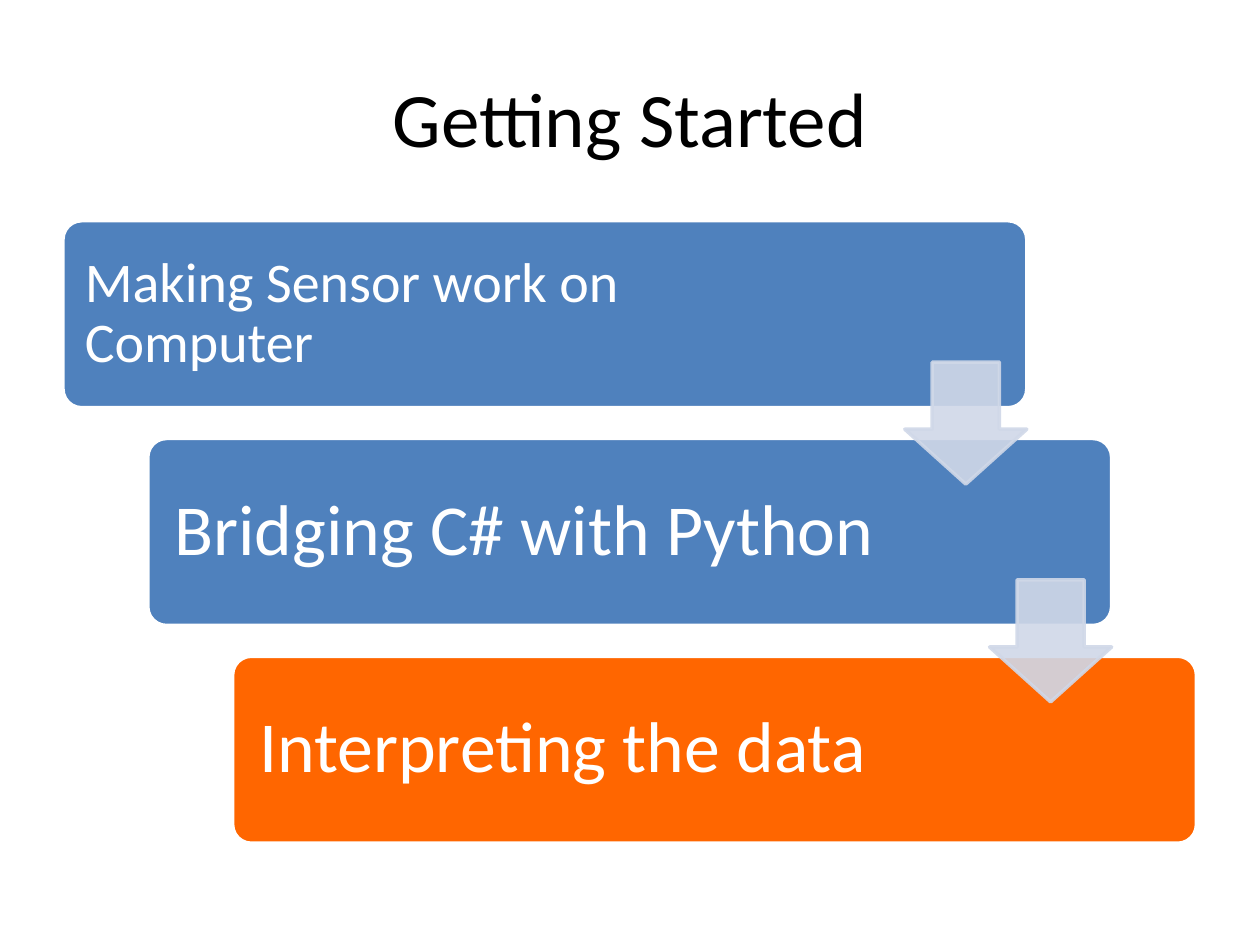
from lxml import etree
from pptx import Presentation
from pptx.dml.color import RGBColor
from pptx.enum.shapes import MSO_SHAPE
from pptx.enum.text import MSO_ANCHOR, PP_ALIGN
from pptx.oxml.ns import qn
from pptx.util import Cm, Pt

ROUND = MSO_SHAPE.ROUNDED_RECTANGLE
ARROW = MSO_SHAPE.DOWN_ARROW
MIDDLE = MSO_ANCHOR.MIDDLE
LEFT, CENTER = PP_ALIGN.LEFT, PP_ALIGN.CENTER

BLUE, ORANGE, PALE, WHITE, BLACK = "4F81BD", "FF6600", "D0D8E8", "FFFFFF", "000000"
STEP_X, STEP_Y = 1.71, 4.39
STEPS = [
    ("Making Sensor work on Computer", BLUE, 32, 15.37, 0.33),
    ("Bridging C# with Python", BLUE, 41, 15.04, 0.43),
    ("Interpreting the data", ORANGE, 41, 15.04, 0.43),
]


def rgb(value):
    return RGBColor.from_string(value)


class Deck:
    """Holds the style and the current slide of the staircase deck."""

    def __init__(self, font="Calibri"):
        self.font = font
        self.prs = Presentation()
        self.prs.slide_width, self.prs.slide_height = Cm(25.4), Cm(19.05)
        self.s = self.prs.slides.add_slide(self.prs.slide_layouts[5])

    def add_text(self, tf, text, size, color, align):
        tf.vertical_anchor = MIDDLE
        p = tf.paragraphs[0]
        p.alignment = align
        r = p.add_run()
        r.text = text
        for name, value in {"name": self.font, "size": Pt(size)}.items():
            setattr(r.font, name, value)
        r.font.color.rgb = rgb(color)
        return p

    def title(self, text):
        sp = self.s.shapes.title
        box = {"left": 1.27, "top": 0.76, "width": 22.86, "height": 3.18}
        for name, value in box.items():
            setattr(sp, name, Cm(value))
        self.add_text(sp.text_frame, text, 44, BLACK, CENTER)

    def shape(self, kind, x, y, w, h, fill, line, adjustments):
        sp = self.s.shapes.add_shape(kind, Cm(x), Cm(y), Cm(w), Cm(h))
        for i, value in enumerate(adjustments):
            sp.adjustments[i] = value
        sp.shadow.inherit = False
        sp.fill.solid()
        sp.fill.fore_color.rgb = rgb(fill)
        sp.line.color.rgb = rgb(line)
        sp.line.width = Pt(2)
        return sp

    def label(self, text, x, y, w, h, size, inset):
        tf = self.s.shapes.add_textbox(Cm(x), Cm(y), Cm(w), Cm(h)).text_frame
        tf.word_wrap = True
        for side in ("left", "top", "right", "bottom"):
            setattr(tf, f"margin_{side}", Cm(inset))
        self.add_text(tf, text, size, WHITE, LEFT).line_spacing = 0.9

    def step(self, i, text, fill, size, width, inset):
        x, y = 1.27 + i * STEP_X, 4.45 + i * STEP_Y
        self.shape(ROUND, x, y, 19.43, 3.77, fill, WHITE, [0.1])
        self.label(text, x + 0.11, y + 0.11, width, 3.55, size, inset)

    def arrow(self, i):
        x, y = 18.24 + i * STEP_X, 7.3 + i * STEP_Y
        sp = self.shape(ARROW, x, y, 2.46, 2.46, PALE, PALE, [0.55, 0.45])
        for clr in sp._element.spPr.iter(qn("a:srgbClr")):
            etree.SubElement(clr, qn("a:alpha"), val="90000")


def main():
    deck = Deck()
    deck.title("Getting Started")
    for i, step in enumerate(STEPS):
        deck.step(i, *step)
    for i in range(len(STEPS) - 1):
        deck.arrow(i)
    deck.prs.save("out.pptx")


if __name__ == "__main__":
    main()
